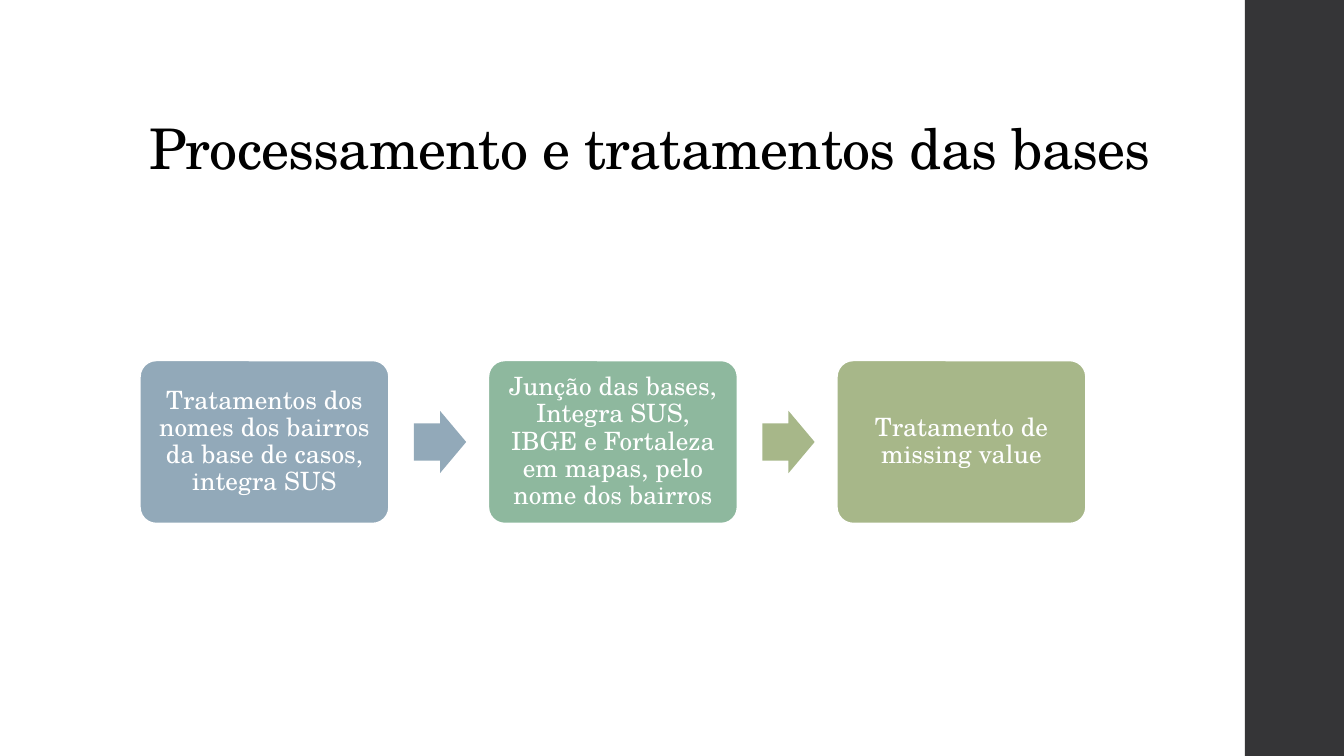
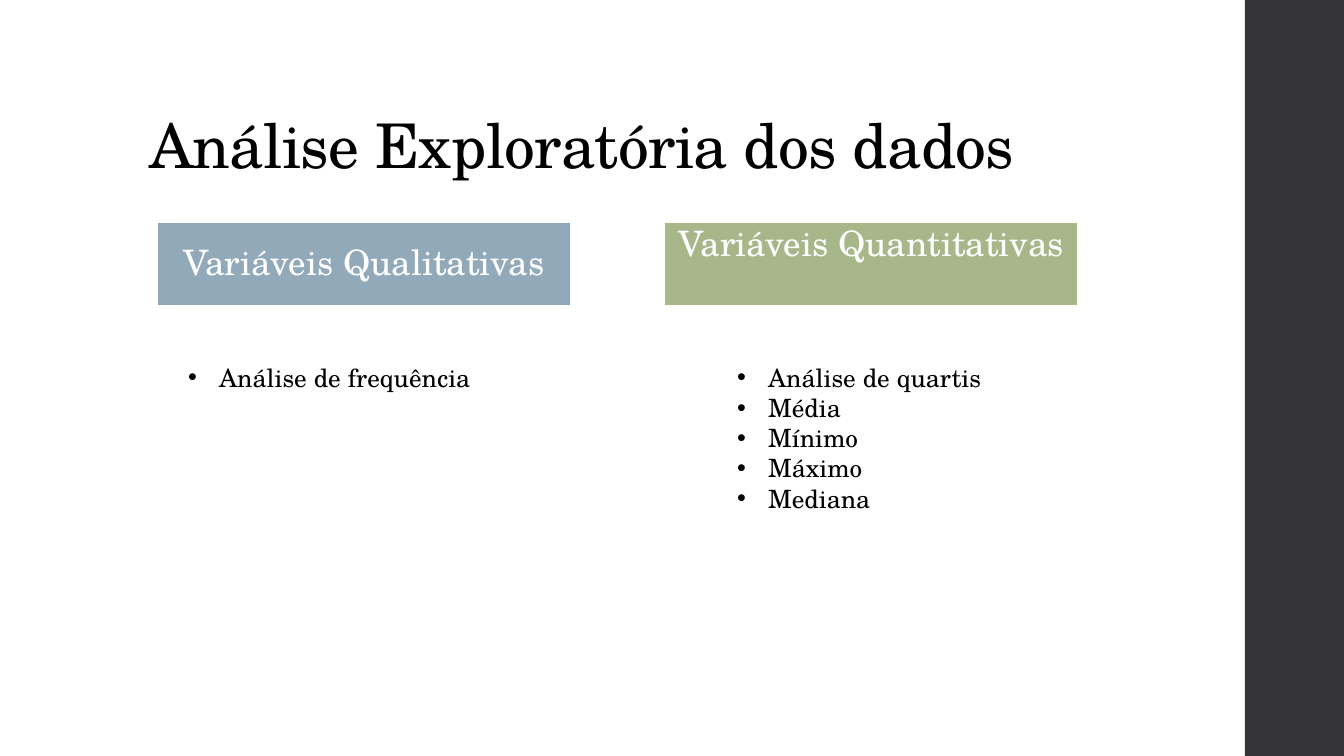
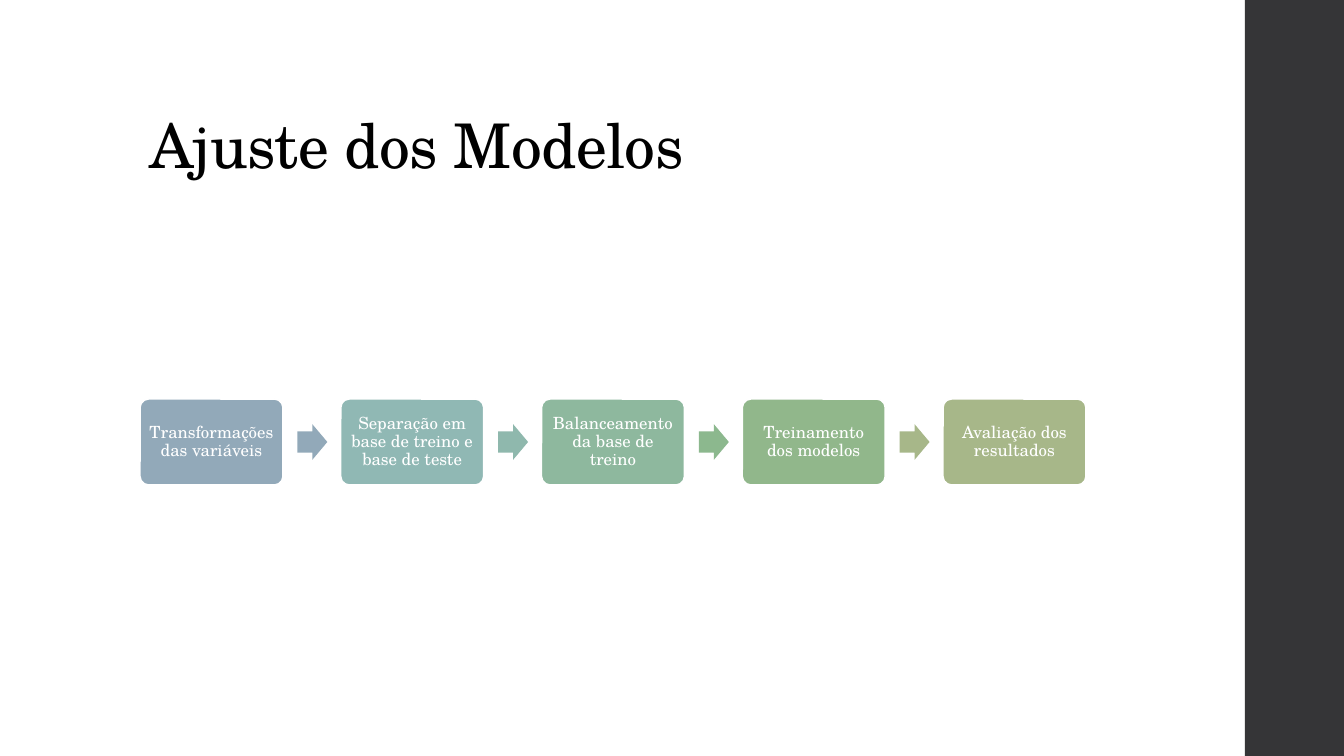
from pptx import Presentation
from pptx.dml.color import RGBColor
from pptx.enum.shapes import MSO_SHAPE, PP_PLACEHOLDER
from pptx.enum.text import MSO_ANCHOR, MSO_AUTO_SIZE, PP_ALIGN
from pptx.util import Pt

EMU_PER_PX = 914400 / 100.8
SLIDE_WIDTH, SLIDE_HEIGHT = 1344, 756
FONT = "TeX Gyre Schola"
BLACK, WHITE, BAND = "000000", "FFFFFF", "353537"
BLUE, TEAL, GREEN, LEAF, OLIVE = "92A9B9", "90B8B4", "8EB89E", "91B78B", "A7B789"
RECTANGLE = MSO_SHAPE.RECTANGLE
ROUNDED = MSO_SHAPE.ROUNDED_RECTANGLE
ARROW = MSO_SHAPE.RIGHT_ARROW
TOP, MIDDLE, BOTTOM = MSO_ANCHOR.TOP, MSO_ANCHOR.MIDDLE, MSO_ANCHOR.BOTTOM
LEFT, CENTER = PP_ALIGN.LEFT, PP_ALIGN.CENTER
NO_AUTOFIT = MSO_AUTO_SIZE.NONE
FOOTER_TYPES = (PP_PLACEHOLDER.DATE, PP_PLACEHOLDER.FOOTER,
                PP_PLACEHOLDER.SLIDE_NUMBER)
TITLE_ONLY, TWO_CONTENT = "Title Only", "Two Content"
ROW_LEFT, ROW_RIGHT, ROW_MIDDLE = 140, 1086, 442


def px(length):
    return round(length * EMU_PER_PX)


def color(value):
    return RGBColor.from_string(value)


def place(shape, left, top, width, height):
    shape.left, shape.top = px(left), px(top)
    shape.width, shape.height = px(width), px(height)


def style_paragraph(paragraph, size, text_color, alignment, line_spacing):
    paragraph.alignment = alignment
    paragraph.line_spacing = line_spacing
    paragraph.font.name = FONT
    paragraph.font.size = Pt(size)
    paragraph.font.color.rgb = color(text_color)


def add_block(slide, kind, box, fill, adjustments=(), outlined=False):
    shape = slide.shapes.add_shape(kind, *map(px, box))
    shape.shadow.inherit = False
    shape.fill.solid()
    shape.fill.fore_color.rgb = color(fill)
    if outlined:
        shape.line.color.rgb = color(WHITE)
        shape.line.width = Pt(1.1)
    else:
        shape.line.fill.background()
    for index, value in enumerate(adjustments):
        shape.adjustments[index] = value
    return shape


def set_label(shape, text, size, inset, anchor=MIDDLE, inset_top=None):
    frame = shape.text_frame
    frame.word_wrap = True
    frame.vertical_anchor = anchor
    frame.margin_left = frame.margin_right = frame.margin_bottom = px(inset)
    frame.margin_top = px(inset if inset_top is None else inset_top)
    frame.text = text
    style_paragraph(frame.paragraphs[0], size, WHITE, CENTER, 0.9)


def remove_footers(page):
    for placeholder in list(page.placeholders):
        if placeholder.placeholder_format.type in FOOTER_TYPES:
            page.shapes.element.remove(placeholder.element)


def prepare_master(presentation):
    master = presentation.slide_master
    for layout in list(master.slide_layouts):
        if layout.name in (TITLE_ONLY, TWO_CONTENT):
            remove_footers(layout)
        else:
            master.slide_layouts.remove(layout)
    remove_footers(master)
    title = master.placeholders[0]
    place(title, 139, 41, 1068, 146)
    title.text_frame.vertical_anchor = BOTTOM
    title.text_frame.auto_size = NO_AUTOFIT


def move_band_to_master(presentation, slide):
    band = add_block(slide, RECTANGLE, (1245, 0, 99, SLIDE_HEIGHT), BAND)
    band.element.nvSpPr.cNvPr.id = 20
    presentation.slide_master.shapes.element.insert(2, band.element)


def add_slide(presentation, layout_name, text, size):
    layout = presentation.slide_layouts.get_by_name(layout_name)
    slide = presentation.slides.add_slide(layout)
    title = slide.shapes.title
    title.text_frame.text = text
    paragraph = title.text_frame.paragraphs[0]
    style_paragraph(paragraph, size, BLACK, LEFT, 0.9)
    paragraph._p.get_or_add_pPr().get_or_add_defRPr().set("spc", "-50")
    return slide


def add_process(slide, steps, arrow_fills, width, height, size, inset):
    pitch = (ROW_RIGHT - ROW_LEFT - width) / (len(steps) - 1)
    arrow_width, arrow_height = 0.21 * width, 0.25 * width
    for index, (text, fill) in enumerate(steps):
        left = ROW_LEFT + index * pitch
        box = (left, ROW_MIDDLE - height / 2, width, height)
        step = add_block(slide, ROUNDED, box, fill, (0.1,), outlined=True)
        set_label(step, text, size, inset)
        if index < len(arrow_fills):
            arrow_box = (left + 1.1 * width, ROW_MIDDLE - arrow_height / 2,
                         arrow_width, arrow_height)
            add_block(slide, ARROW, arrow_box, arrow_fills[index], (0.6, 0.5))


def fill_list(placeholder, box, items):
    place(placeholder, *box)
    frame = placeholder.text_frame
    frame.auto_size = NO_AUTOFIT
    frame.text = "\n".join(items)
    for paragraph in frame.paragraphs:
        style_paragraph(paragraph, 18, BLACK, LEFT, 1.0)
        paragraph.space_before = Pt(0)
        properties = paragraph._p.get_or_add_pPr()
        properties.set("marL", str(px(31)))
        properties.set("indent", str(-px(31)))


def add_heading(slide, left, text, fill, anchor=MIDDLE, inset_top=10):
    heading = add_block(slide, RECTANGLE, (left, 222, 414, 84), fill, outlined=True)
    set_label(heading, text, 25, 10, anchor, inset_top)


def main():
    presentation = Presentation()
    presentation.slide_width = px(SLIDE_WIDTH)
    presentation.slide_height = px(SLIDE_HEIGHT)
    prepare_master(presentation)

    processing = add_slide(presentation, TITLE_ONLY,
                           "Processamento e tratamentos das bases", 40)
    move_band_to_master(presentation, processing)
    add_process(processing, [
        ("Tratamentos dos nomes dos bairros da base de casos, integra SUS", BLUE),
        ("Junção das bases, Integra SUS, IBGE e Fortaleza em mapas, "
         "pelo nome dos bairros", GREEN),
        ("Tratamento de missing value", OLIVE),
    ], [BLUE, OLIVE], width=249, height=163, size=18, inset=7)

    exploration = add_slide(presentation, TWO_CONTENT,
                            "Análise Exploratória dos dados", 44)
    add_heading(exploration, 157, "Variáveis Qualitativas", BLUE)
    add_heading(exploration, 664, "Variáveis Quantitativas", OLIVE, TOP, 4)
    qualitative, quantitative = list(exploration.placeholders)[1:]
    fill_list(qualitative, (178, 357, 306, 40), ["Análise de frequência"])
    fill_list(quantitative, (727, 357, 267, 163),
              ["Análise de quartis", "Média", "Mínimo", "Máximo", "Mediana"])

    models = add_slide(presentation, TITLE_ONLY, "Ajuste dos Modelos", 44)
    add_process(models, [
        ("Transformações das variáveis", BLUE),
        ("Separação em base de treino e base de teste", TEAL),
        ("Balanceamento da base de treino", GREEN),
        ("Treinamento dos modelos", LEAF),
        ("Avaliação dos resultados", OLIVE),
    ], [BLUE, "8FB8AD", "8CB88E", OLIVE], width=143, height=86, size=12, inset=5)

    presentation.save("out.pptx")


if __name__ == "__main__":
    main()
